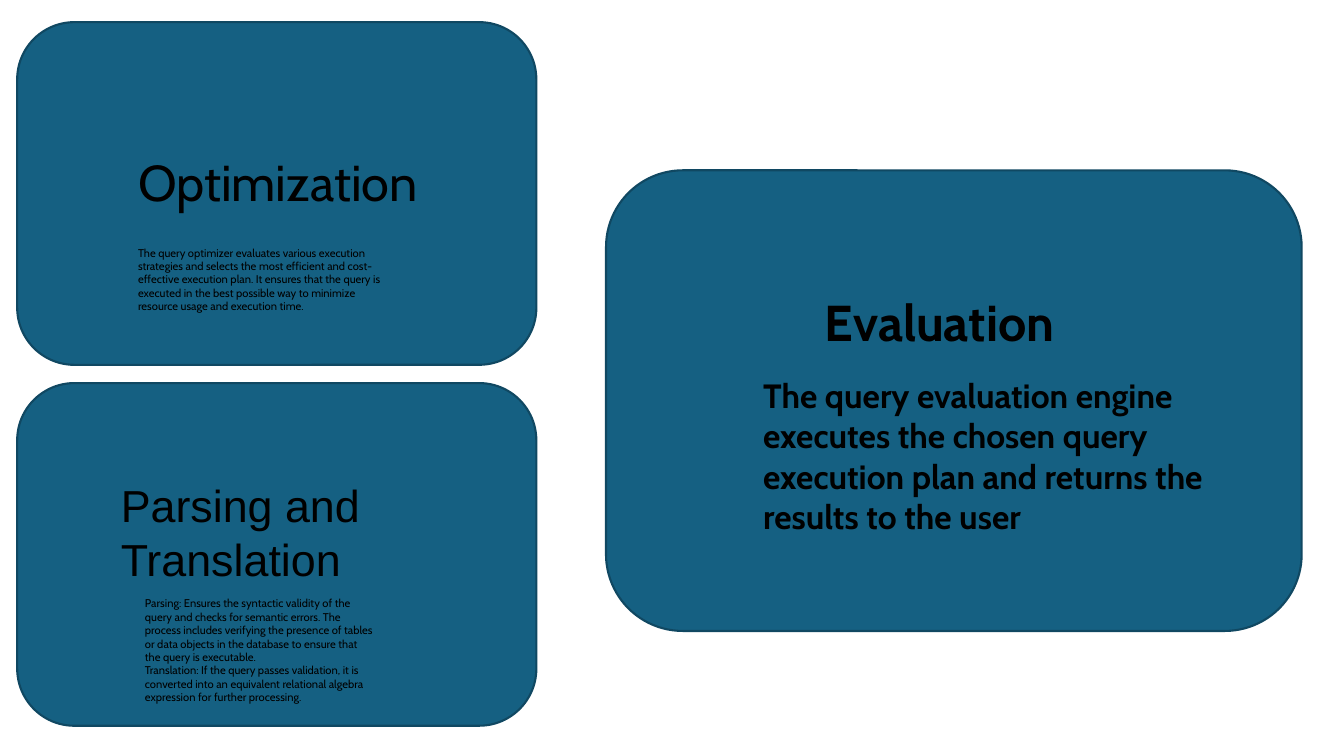
from pptx import Presentation
from pptx import util as u
from pptx.dml.color import RGBColor
from pptx.enum import shapes, text

TEAL = RGBColor(0x15, 0x60, 0x82)
DARK_TEAL = RGBColor(0x10, 0x48, 0x62)
BLACK = RGBColor(0, 0, 0)

# Frames are left, top, width, height in percent of the slide.
CARDS = [
    {
        "frame": (1.28, 50.67, 38.63, 45.33),
        "bold": False,
        "texts": [
            ((8.25, 62.53, 21.23, 14.53), "Arial", 32, ["Parsing and Translation"]),
            ((10.05, 78.27, 18.6, 14.8), "Cabin", 8, [
                "Parsing: Ensures the syntactic validity of the query and checks for "
                "semantic errors. The process includes verifying the presence of tables "
                "or data objects in the database to ensure that the query is executable.",
                "Translation: If the query passes validation, it is converted into an "
                "equivalent relational algebra expression for further processing.",
            ]),
        ],
    },
    {
        "frame": (1.28, 2.93, 38.63, 45.33),
        "bold": False,
        "texts": [
            ((9.53, 19.33, 28.28, 9.47), "Cabin", 36, ["Optimization"]),
            ((9.53, 31.87, 19.88, 12.93), "Cabin", 8, [
                "The query optimizer evaluates various execution strategies and selects "
                "the most efficient and cost-effective execution plan. It ensures that "
                "the query is executed in the best possible way to minimize resource "
                "usage and execution time.",
            ]),
        ],
    },
    {
        "frame": (45.09, 22.53, 51.76, 60.93),
        "bold": True,
        "texts": [
            ((60.62, 37.87, 33.01, 9.47), "Cabin", 36, ["Evaluation"]),
            ((56.04, 48.93, 37.36, 22.93), "Cabin", 24, [
                "The query evaluation engine executes the chosen query execution plan "
                "and returns the results to the user",
            ]),
        ],
    },
]

deck = Presentation()
deck.slide_width, deck.slide_height = u.Inches(13.33), u.Inches(7.5)
page = deck.slides.add_slide(deck.slide_layouts[6])


def to_lengths(frame):
    sides = (deck.slide_width, deck.slide_height) * 2
    return [u.Emu(round(side * share / 100)) for side, share in zip(sides, frame)]


def add_panel(group, frame):
    panel = group.shapes.add_shape(
        shapes.MSO_SHAPE.ROUNDED_RECTANGLE, *to_lengths(frame))
    panel.shadow.inherit = False
    panel.fill.solid()
    panel.fill.fore_color.rgb = TEAL
    panel.line.color.rgb = DARK_TEAL
    panel.line.width = u.Pt(1.5)


def add_text(group, frame, font, size, paragraphs, bold):
    box = group.shapes.add_textbox(*to_lengths(frame))
    box.fill.solid()
    box.fill.fore_color.rgb = TEAL
    body = box.text_frame
    body.word_wrap = True
    body.vertical_anchor = text.MSO_ANCHOR.TOP
    for index, wording in enumerate(paragraphs):
        para = body.add_paragraph() if index else body.paragraphs[0]
        span = para.add_run()
        span.text = wording
        span.font.name = font
        span.font.size = u.Pt(size)
        span.font.bold = bold
        span.font.color.rgb = BLACK


for card in CARDS:
    group = page.shapes.add_group_shape()
    add_panel(group, card["frame"])
    for frame, font, size, paragraphs in card["texts"]:
        add_text(group, frame, font, size, paragraphs, card["bold"])

deck.save("out.pptx")
